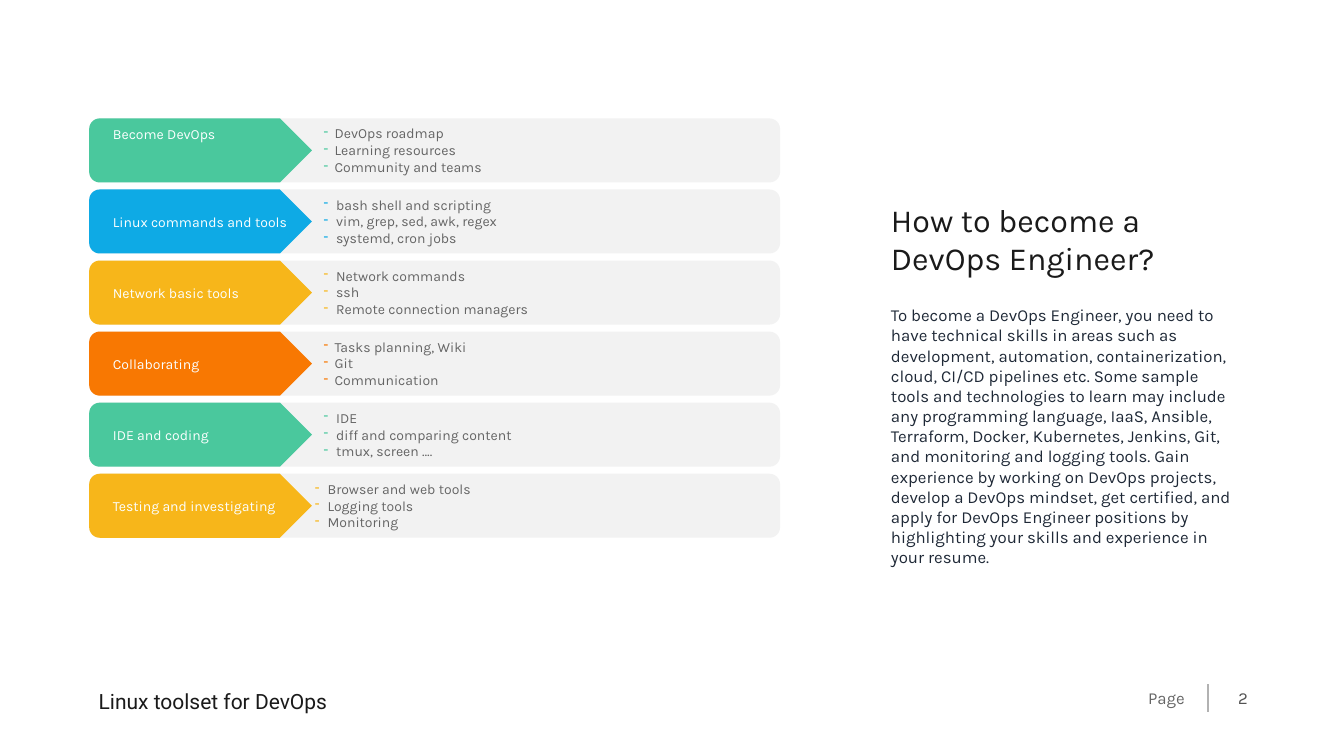
"""Build the DevOps skills slide: six topic rows beside an introduction."""
import math
from dataclasses import dataclass

from lxml import etree
from pptx import Presentation
from pptx import util as u
from pptx.dml.color import RGBColor
from pptx.enum import shapes, text
from pptx.oxml.ns import qn


@dataclass(frozen=True)
class Theme:
    font: str = "Karla"
    footer_font: str = "Roboto"
    green: str = "4AC89D"
    blue: str = "0EAAE5"
    yellow: str = "F7B61A"
    orange: str = "F87802"
    panel: str = "F2F2F2"
    dark: str = "1A1A1A"
    prose: str = "1F2937"
    grey: str = "656565"
    number: str = "535353"
    light: str = "FCFFFF"
    rule: str = "B2B2B2"
    title_size: int = 46
    footer_size: int = 30
    body_size: int = 24
    row_size: int = 20


class SlideBuilder:
    def __init__(self, slide, theme):
        self.slide = slide
        self.theme = theme

    def set_text(self, shape, lines, size, color, font=None, align="LEFT", anchor="TOP",
                 bullet=None, indent=0):
        frame = shape.text_frame
        frame_format = {
            "word_wrap": True,
            "auto_size": text.MSO_AUTO_SIZE.NONE,
            "vertical_anchor": getattr(text.MSO_ANCHOR, anchor),
        }
        for side in ("left", "top", "right", "bottom"):
            frame_format[f"margin_{side}"] = u.Inches(0.06)
        for name, value in frame_format.items():
            setattr(frame, name, value)
        frame.text = "\n".join(lines)
        paragraph_format = {"alignment": getattr(text.PP_ALIGN, align), "space_before": u.Pt(0)}
        font_format = {"name": font or self.theme.font, "size": u.Pt(size)}
        for paragraph in frame.paragraphs:
            for name, value in paragraph_format.items():
                setattr(paragraph, name, value)
            self.set_bullet(paragraph, bullet, indent)
            for name, value in font_format.items():
                setattr(paragraph.font, name, value)
            paragraph.font.color.rgb = RGBColor.from_string(color)

    def set_bullet(self, paragraph, color, indent):
        properties = paragraph._p.get_or_add_pPr()
        properties.set("marL", str(u.Inches(indent)))
        properties.set("indent", str(u.Inches(-indent)))
        if color is None:
            etree.SubElement(properties, qn("a:buNone"))
            return
        bullet_color = etree.SubElement(properties, qn("a:buClr"))
        etree.SubElement(bullet_color, qn("a:srgbClr"), val=color)
        etree.SubElement(properties, qn("a:buChar"), char="-")

    def placeholder(self, index, box, *args, **kwargs):
        shape = self.slide.placeholders[index]
        for name, value in zip(("left", "top", "width", "height"), box):
            setattr(shape, name, u.Inches(value))
        self.set_text(shape, *args, **kwargs)

    def textbox(self, box, *args, **kwargs):
        shape = self.slide.shapes.add_textbox(*map(u.Inches, box))
        self.set_text(shape, *args, **kwargs)

    def paint(self, shape, color):
        shape.shadow.inherit = False
        shape.fill.solid()
        shape.fill.fore_color.rgb = RGBColor.from_string(color)
        shape.line.fill.background()

    def panel(self, box, color):
        shape = self.slide.shapes.add_shape(
            shapes.MSO_SHAPE.ROUNDED_RECTANGLE, *map(u.Inches, box))
        shape.adjustments[0] = 0.165
        self.paint(shape, color)

    def arrow(self, left, top, width, height, color):
        radius, steps = 0.165 * height, 10
        middle, right, bottom = top + height / 2, left + width, top + height
        shoulder = right - height / 2
        points = [(shoulder, top), (right, middle), (shoulder, bottom)]
        for start, center_y in ((90, bottom - radius), (180, top + radius)):
            for step in range(steps + 1):
                angle = math.radians(start + 90 * step / steps)
                points.append((left + radius + radius * math.cos(angle),
                               center_y + radius * math.sin(angle)))
        points = [(u.Inches(x), u.Inches(y)) for x, y in points]
        builder = self.slide.shapes.build_freeform(*points[0])
        builder.add_line_segments(points[1:], close=True)
        self.paint(builder.convert_to_shape(), color)

    def line(self, start, end, color, width):
        connector = self.slide.shapes.add_connector(
            shapes.MSO_CONNECTOR.STRAIGHT, *map(u.Inches, (*start, *end)))
        connector.line.color.rgb = RGBColor.from_string(color)
        connector.line.width = u.Pt(width)
        etree.SubElement(connector._element.spPr, qn("a:effectLst"))

    def topic_row(self, top, label, items, color, indent, list_left, label_offset):
        theme, left, height = self.theme, 1.77, 1.27
        self.panel((left, top, 13.71, height), theme.panel)
        self.textbox((list_left, top + 0.07, 9.02, 1.12), items, theme.row_size, theme.grey,
                     anchor="MIDDLE", bullet=color, indent=indent)
        self.arrow(left, top, 4.42, height, color)
        self.textbox((2.18, top + label_offset, 3.61, 0.45), [label], theme.row_size,
                     theme.light, anchor="MIDDLE")


INTRODUCTION = (
    "To become a DevOps Engineer, you need to have technical skills in areas such as "
    "development, automation, containerization, cloud, CI/CD pipelines etc. Some sample "
    "tools and technologies to learn may include any programming language, IaaS, Ansible, "
    "Terraform, Docker, Kubernetes, Jenkins, Git, and monitoring and logging tools. Gain "
    "experience by working on DevOps projects, develop a DevOps mindset, get certified, and "
    "apply for DevOps Engineer positions by highlighting your skills and experience in "
    "your resume."
)


def main():
    theme = Theme()
    presentation = Presentation()
    presentation.slide_width = u.Inches(26.67)
    presentation.slide_height = u.Inches(15)
    slide = presentation.slides.add_slide(presentation.slide_layouts[1])
    builder = SlideBuilder(slide, theme)

    builder.placeholder(0, (17.62, 3.91, 6.89, 1.66), ["How to become a DevOps Engineer?"],
                        theme.title_size, theme.dark)
    builder.placeholder(1, (17.62, 5.99, 6.91, 4.96), [INTRODUCTION],
                        theme.body_size, theme.prose)

    topics = [
        ("Become DevOps", ["DevOps roadmap", "Learning resources", "Community and teams"],
         theme.green, 0.22, 6.36, 0.08),
        ("Linux commands and tools",
         ["bash shell and scripting", "vim, grep, sed, awk, regex", "systemd, cron jobs"],
         theme.blue, 0.25, 6.36, 0.41),
        ("Network basic tools", ["Network commands", "ssh", "Remote connection managers"],
         theme.yellow, 0.25, 6.36, 0.41),
        ("Collaborating", ["Tasks planning, Wiki", "Git", "Communication"],
         theme.orange, 0.22, 6.36, 0.41),
        ("IDE and coding", ["IDE", "diff and comparing content", "tmux, screen …."],
         theme.green, 0.25, 6.36, 0.41),
        ("Testing and investigating", ["Browser and web tools", "Logging tools", "Monitoring"],
         theme.yellow, 0.25, 6.19, 0.41),
    ]
    for index, topic in enumerate(topics):
        builder.topic_row(2.35 + 1.41 * index, *topic)

    builder.line((23.97, 13.58), (23.97, 14.12), theme.rule, 2)
    builder.textbox((19.19, 13.58, 4.38, 0.52), ["Page"], theme.body_size, theme.grey,
                    align="RIGHT")
    builder.textbox((1.47, 13.6, 5.51, 0.62), ["Linux toolset for DevOps"], theme.footer_size,
                    theme.dark, font=theme.footer_font, align="CENTER")
    builder.textbox((24.13, 13.58, 1.07, 0.54), ["2"], theme.body_size, theme.number,
                    align="CENTER")
    presentation.save("out.pptx")


if __name__ == "__main__":
    main()
